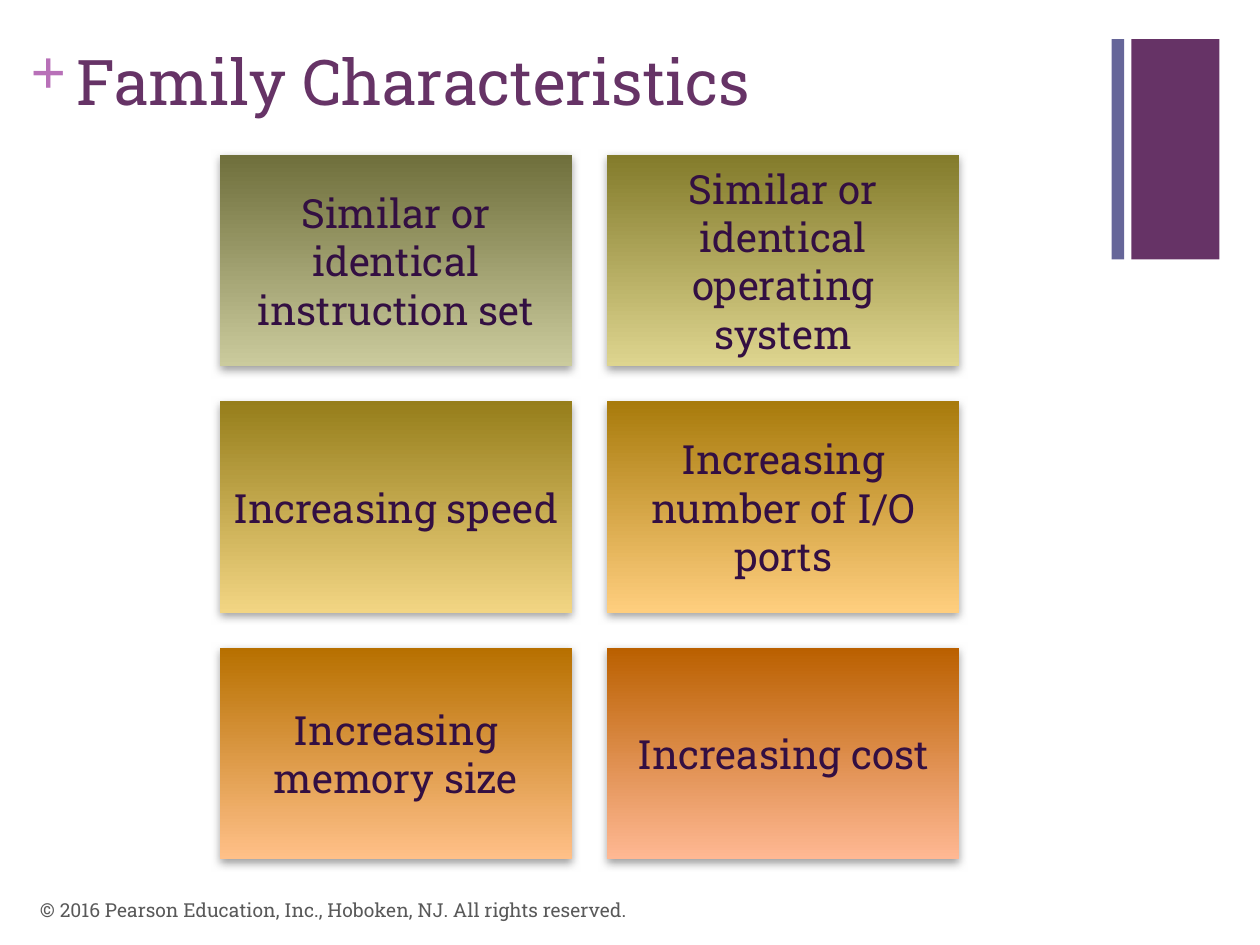
from lxml import etree
from pptx import Presentation
from pptx.dml.color import RGBColor
from pptx.enum.shapes import MSO_SHAPE
from pptx.enum.text import MSO_ANCHOR, PP_ALIGN
from pptx.oxml.ns import qn
from pptx.util import Pt

RECT = MSO_SHAPE.RECTANGLE
TOP, MIDDLE = MSO_ANCHOR.TOP, MSO_ANCHOR.MIDDLE
LEFT, CENTER = PP_ALIGN.LEFT, PP_ALIGN.CENTER

PURPLE = RGBColor(0x66, 0x33, 0x66)
SLATE = RGBColor(0x66, 0x66, 0x99)
ORCHID = RGBColor(0xB8, 0x70, 0xB8)
INK = RGBColor(0x33, 0x0F, 0x42)
GRAY = RGBColor(0x59, 0x59, 0x59)
SHADOW = RGBColor(0x80, 0x80, 0x80)
SLAB, SERIF = "Roboto Slab", "Times New Roman"

TITLE = "Family Characteristics"
COPYRIGHT = "© 2016 Pearson Education, Inc., Hoboken, NJ. All rights reserved."
CARDS = [
    ("Similar or identical instruction set", RGBColor(0x6F, 0x6F, 0x3C), RGBColor(0xCB, 0xCB, 0x9D)),
    ("Similar or identical operating system", RGBColor(0x83, 0x7B, 0x2B), RGBColor(0xDE, 0xD5, 0x8F)),
    ("Increasing speed", RGBColor(0x96, 0x7E, 0x1B), RGBColor(0xF2, 0xD5, 0x83)),
    ("Increasing number of I/O ports", RGBColor(0xA8, 0x7B, 0x0C), RGBColor(0xFF, 0xCE, 0x7E)),
    ("Increasing memory size", RGBColor(0xB7, 0x70, 0x00), RGBColor(0xFF, 0xC0, 0x88)),
    ("Increasing cost", RGBColor(0xBA, 0x60, 0x00), RGBColor(0xFF, 0xB8, 0x93)),
]
BARS = [(646.5, 50.4, PURPLE), (635.2, 7.2, SLATE)]

COLUMNS = 2
GRID_X, GRID_Y = 125.7, 88.6
CARD_W, CARD_H, GAP = 201.2, 120.7, 20.1


def write(sp, text, size, color, font=SLAB, align=LEFT, anchor=TOP, margins=(7.2, 3.6), bold=False):
    tf = sp.text_frame
    tf.word_wrap = True
    tf.vertical_anchor = anchor
    tf.margin_left = tf.margin_right = Pt(margins[0])
    tf.margin_top = tf.margin_bottom = Pt(margins[1])
    p = tf.paragraphs[0]
    p.text = text
    p.alignment = align
    p.font.name = font
    p.font.size = Pt(size)
    p.font.bold = bold
    p.font.color.rgb = color


def add_text(s, box, *args, **kwargs):
    write(s.shapes.add_textbox(*map(Pt, box)), *args, **kwargs)


def add_rect(s, x, y, w, h):
    sp = s.shapes.add_shape(RECT, Pt(x), Pt(y), Pt(w), Pt(h))
    sp.line.fill.background()
    sp.shadow.inherit = False
    return sp


def add_shadow(sp):
    effects = sp._element.spPr.find(qn("a:effectLst"))
    shadow = etree.SubElement(effects, qn("a:outerShdw"), blurRad=str(Pt(5)),
                              dist=str(Pt(2)), dir="5400000", rotWithShape="0")
    color = etree.SubElement(shadow, qn("a:srgbClr"), val=str(SHADOW))
    etree.SubElement(color, qn("a:alpha"), val="75000")


def add_card(s, index, text, dark, light):
    row, col = divmod(index, COLUMNS)
    sp = add_rect(s, GRID_X + col * (CARD_W + GAP), GRID_Y + row * (CARD_H + GAP), CARD_W, CARD_H)
    sp.fill.gradient()
    sp.fill.gradient_angle = 270
    for stop, color in zip(sp.fill.gradient_stops, (dark, light)):
        stop.color.rgb = color
    add_shadow(sp)
    write(sp, text, 23, INK, align=CENTER, anchor=MIDDLE, margins=(7.2, 7.2))


def main():
    prs = Presentation()
    prs.slide_width, prs.slide_height = Pt(720), Pt(540)
    s = prs.slides.add_slide(prs.slide_layouts[6])

    for x, w, color in BARS:
        sp = add_rect(s, x, 22.3, w, 126)
        sp.fill.solid()
        sp.fill.fore_color.rgb = color

    add_text(s, (17.3, 18, 20.9, 43.9), "+", 36, ORCHID, font=SERIF, margins=(0, 0), bold=True)
    add_text(s, (36.7, 20.9, 594.7, 87.8), TITLE, 36, PURPLE)
    for index, card in enumerate(CARDS):
        add_card(s, index, *card)
    add_text(s, (15.8, 505.4, 482.4, 28.8), COPYRIGHT, 11, GRAY, anchor=MIDDLE)

    prs.save("out.pptx")


if __name__ == "__main__":
    main()
